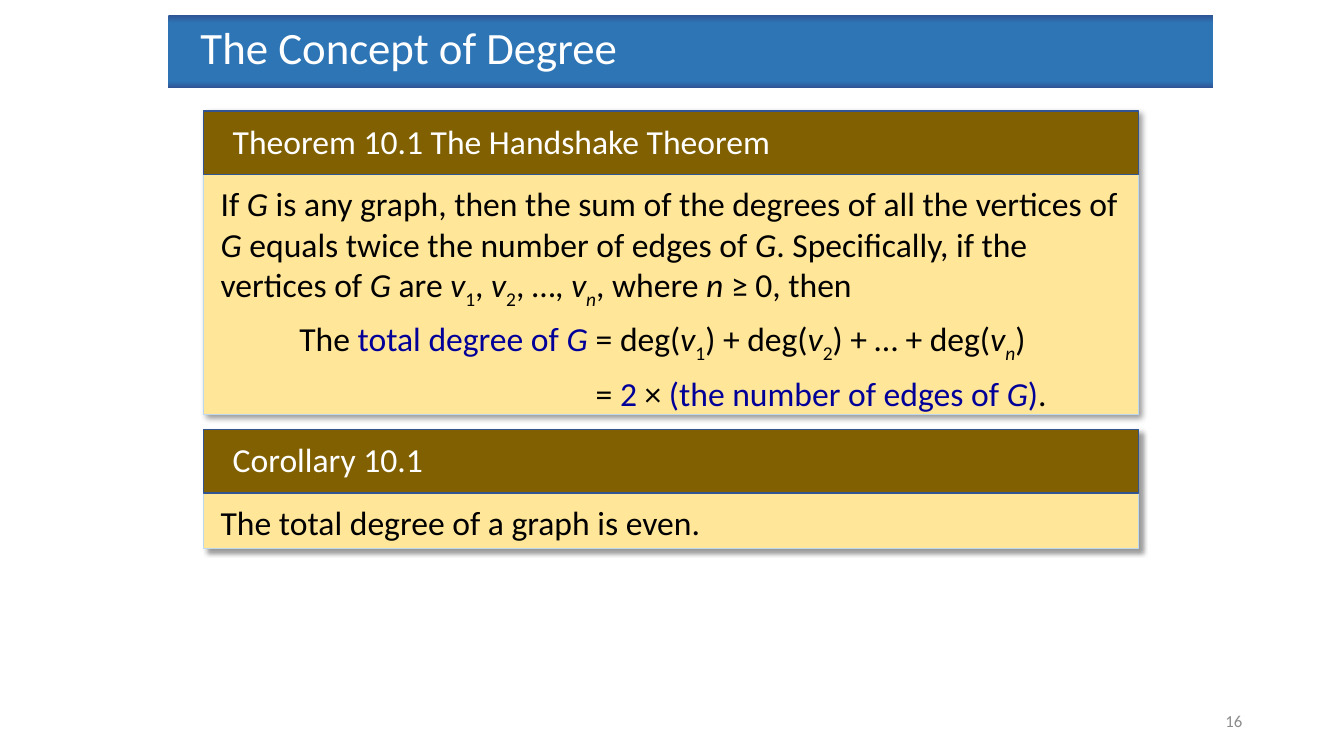
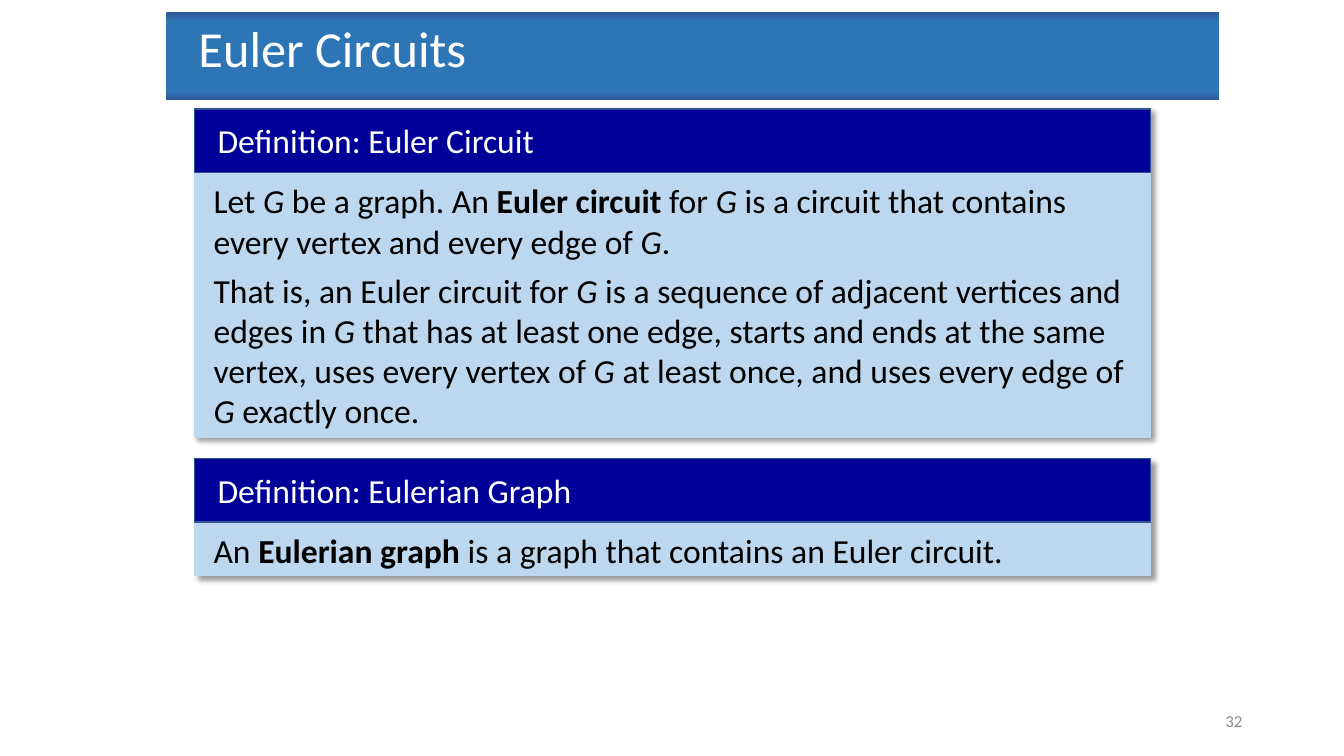
import pptx
import pptx.dml.color
import pptx.enum.shapes
import pptx.enum.text
import pptx.oxml
import pptx.oxml.ns
import pptx.util

THEME = {
    "font": "Calibri",
    "text": "000000", "accent": "000099", "light": "FFFFFF", "number": "8C8C8C",
    "panel_line": "BDD7EE", "header_line": "325491",
    "band": [(0, "2F5597"), (11, "2E75B6"), (91, "2E75B6"), (100, "2F5597")],
    "theorem": {"header": "806000", "panel": "FFE699"},
    "definition": {"header": "000099", "panel": "BDD7EE"},
    "body_size": 24, "number_size": 12, "space_after": 6,
}
SLIDE_W, SLIDE_H = 13.33, 7.5
HEADER_H = 0.63
LINE_H = 0.5
TITLE_TAB = 0.22
NUMBER_BOX = (9.42, 6.95, 3, 0.4)
FORMULA_TABS = (0.78, 3.72)

# Marks that switch a style on and off: * italic, ^ bold, _ subscript, ~ accent colour
MARKS = "*^_~"

SLIDES = [
    {
        "title": "The Concept of Degree", "title_size": 32, "number": "16",
        "band": (1.67, 0.15, 10.36, 0.72),
        "style": "theorem", "left": 2.02, "width": 9.27,
        "heading_at": (0.19, 0.05), "heading_width": 7.74,
        "body_at": (0.07, 0.67), "body_width": 9.2,
        "cards": [
            {"top": 1.1, "height": 3.01, "body_height": 2.29,
             "heading": "Theorem 10.1 The Handshake Theorem",
             "body": [
                 "If *G* is any graph, then the sum of the degrees of all the "
                 "vertices of *G* equals twice the number of edges of *G*. "
                 "Specifically, if the vertices of *G* are *v*_1_, *v*_2_, …, "
                 "*v_n_*, where *n *≥ 0, then",
                 "\tThe ~total degree of *G*~\t= deg(*v*_1_) + deg(*v*_2_) + … "
                 "+ deg(*v_n_*)",
                 "\t\t= ~2~ × ~(the number of edges of *G*)~.",
             ]},
            {"top": 4.26, "height": 1.18, "body_height": LINE_H,
             "heading": "Corollary 10.1",
             "body": ["The total degree of a graph is even."]},
        ],
    },
    {
        "title": "Euler Circuits", "title_size": 36, "number": "32",
        "band": (1.65, 0.12, 10.44, 0.87),
        "style": "definition", "left": 1.93, "width": 9.48,
        "heading_at": (0.13, 0.06), "heading_width": 8.96,
        "body_at": (0.09, 0.66), "body_width": 9.24,
        "cards": [
            {"top": 1.08, "height": 3.26, "body_height": 2.61,
             "heading": "Definition: Euler Circuit",
             "body": [
                 "Let *G* be a graph. An ^Euler circuit ^for *G* is a circuit "
                 "that contains every vertex and every edge of *G*.",
                 "That is, an Euler circuit for *G* is a sequence of adjacent "
                 "vertices and edges in *G* that has at least one edge, starts "
                 "and ends at the same vertex, uses every vertex of *G* at "
                 "least once, and uses every edge of *G* exactly once.",
             ]},
            {"top": 4.55, "height": 1.16, "body_height": LINE_H,
             "heading": "Definition: Eulerian Graph",
             "body": ["An ^Eulerian graph ^is a graph that contains an Euler "
                      "circuit."]},
        ],
    },
]


def rgb(value):
    return pptx.dml.color.RGBColor.from_string(value)


def inches(box):
    return [pptx.util.Inches(v) for v in box]


def xml(tag, content, attributes=""):
    ns = pptx.oxml.ns.nsdecls("a")
    return pptx.oxml.parse_xml(f"<a:{tag} {ns} {attributes}>{content}</a:{tag}>")


def add_rect(shapes, box, fill=None, line=None):
    sp = shapes.add_shape(pptx.enum.shapes.MSO_SHAPE.RECTANGLE, *inches(box))
    sp.shadow.inherit = False
    if fill:
        sp.fill.solid()
        sp.fill.fore_color.rgb = rgb(fill)
    if line:
        sp.line.color.rgb = rgb(line)
        sp.line.width = pptx.util.Pt(1)
    else:
        sp.line.fill.background()
    return sp


def add_shadow(sp):
    effects = sp._element.spPr.find(pptx.oxml.ns.qn("a:effectLst"))
    colour = '<a:srgbClr val="000000"><a:alpha val="40000"/></a:srgbClr>'
    effects.append(xml(
        "outerShdw", colour,
        f'blurRad="{pptx.util.Pt(4)}" dist="{pptx.util.Pt(3)}" '
        'dir="2700000" algn="tl" rotWithShape="0"'))


def fill_gradient(sp, stops):
    """Fill a shape from top to bottom with (percent, colour) stops."""
    items = "".join(f'<a:gs pos="{pos * 1000}"><a:srgbClr val="{colour}"/></a:gs>'
                    for pos, colour in stops)
    gradient = xml("gradFill", f'<a:gsLst>{items}</a:gsLst><a:lin ang="5400000" scaled="0"/>',
                   'rotWithShape="1"')
    sp._element.spPr.find(pptx.oxml.ns.qn("a:prstGeom")).addnext(gradient)


def split_marks(text):
    """Yield (piece, active marks) for text with style marks."""
    active, piece = set(), ""
    for char in text:
        if char not in MARKS:
            piece += char
            continue
        if piece:
            yield piece, set(active)
        piece = ""
        active ^= {char}
    if piece:
        yield piece, set(active)


def write_paragraph(p, text, size, colour, tabs=(), **layout):
    if tabs:
        stops = "".join(f'<a:tab pos="{pptx.util.Inches(t)}" algn="l"/>' for t in tabs)
        p._p.get_or_add_pPr().append(xml("tabLst", stops))
    for name, value in {"alignment": pptx.enum.text.PP_ALIGN.LEFT, **layout}.items():
        setattr(p, name, value)
    for piece, marks in split_marks(text):
        r = p.add_run()
        r.text = piece
        formats = {"name": THEME["font"], "size": pptx.util.Pt(size),
                   "bold": "^" in marks, "italic": "*" in marks}
        for name, value in formats.items():
            setattr(r.font, name, value)
        r.font.color.rgb = rgb(THEME["accent"] if "~" in marks else colour)
        if "_" in marks:
            r.font._element.set("baseline", "-25000")


def add_text(shapes, box, paragraphs, size, colour, anchor="TOP", **layout):
    tf = shapes.add_textbox(*inches(box)).text_frame
    tf.word_wrap = True
    tf.vertical_anchor = getattr(pptx.enum.text.MSO_ANCHOR, anchor)
    for i, text in enumerate(paragraphs):
        p = tf.add_paragraph() if i else tf.paragraphs[0]
        tabs = FORMULA_TABS if "\t" in text else ()
        write_paragraph(p, text, size, colour, tabs, **layout)


def add_title(s, data):
    sp = add_rect(s.shapes, data["band"])
    fill_gradient(sp, THEME["band"])
    tf = sp.text_frame
    tf.vertical_anchor = pptx.enum.text.MSO_ANCHOR.TOP
    write_paragraph(tf.paragraphs[0], "\t" + data["title"], data["title_size"],
                    THEME["light"], (TITLE_TAB,))


def add_card(s, data, card):
    """Draw a shadowed panel with a header strip, a heading and body text."""
    shapes = s.shapes.add_group_shape().shapes
    style, size = THEME[data["style"]], THEME["body_size"]
    left, top, width = data["left"], card["top"], data["width"]
    add_shadow(add_rect(shapes, (left, top, width, card["height"]),
                        style["panel"], THEME["panel_line"]))
    add_rect(shapes, (left, top, width, HEADER_H), style["header"], THEME["header_line"])
    dx, dy = data["heading_at"]
    add_text(shapes, (left + dx, top + dy, data["heading_width"], LINE_H),
             [card["heading"]], size, THEME["light"])
    dx, dy = data["body_at"]
    add_text(shapes, (left + dx, top + dy, data["body_width"], card["body_height"]),
             card["body"], size, THEME["text"],
             space_after=pptx.util.Pt(THEME["space_after"]))


def main():
    prs = pptx.Presentation()
    prs.slide_width, prs.slide_height = inches((SLIDE_W, SLIDE_H))
    for data in SLIDES:
        s = prs.slides.add_slide(prs.slide_layouts[6])
        add_title(s, data)
        for card in data["cards"]:
            add_card(s, data, card)
        add_text(s.shapes, NUMBER_BOX, [data["number"]], THEME["number_size"],
                 THEME["number"], "MIDDLE", alignment=pptx.enum.text.PP_ALIGN.RIGHT)
    prs.save("out.pptx")


if __name__ == "__main__":
    main()
